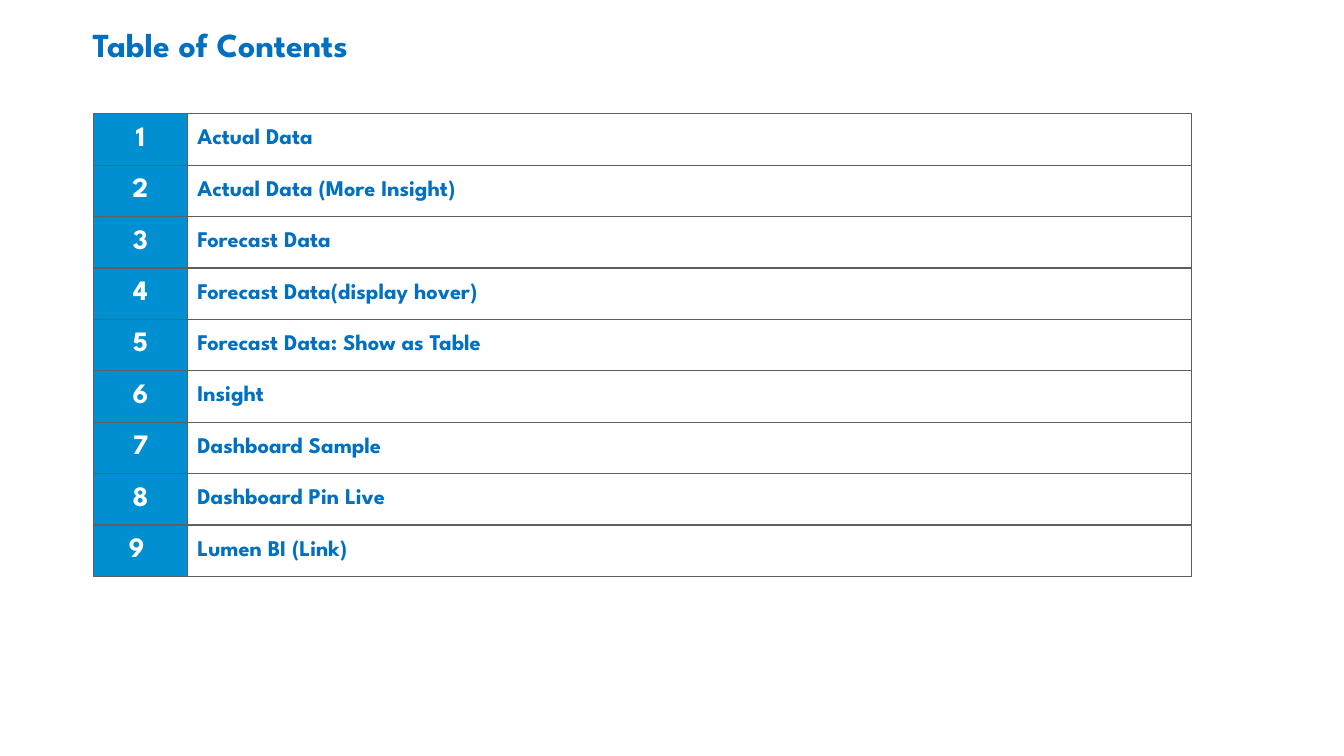
from dataclasses import dataclass

from lxml.etree import SubElement
from pptx import Presentation
from pptx.dml.color import RGBColor
from pptx.enum.text import MSO_ANCHOR, PP_ALIGN
from pptx.oxml.ns import qn
from pptx.util import Cm, Pt


@dataclass(frozen=True)
class Theme:
    font: str = "League Spartan"
    ink: str = "0070C0"
    band: str = "008FD1"
    light: str = "FFFFFF"
    rule: str = "5F5F5F"
    head: int = 24
    number: int = 20
    topic: int = 16


THEME = Theme()
TOPICS = [
    ("1", "Actual Data"),
    ("2", "Actual Data (More Insight)"),
    ("3", "Forecast Data"),
    ("4", "Forecast Data(display hover)"),
    ("5", "Forecast Data: Show as Table"),
    ("6", "Insight"),
    ("7", "Dashboard Sample"),
    ("8", "Dashboard Pin Live"),
    ("9 ", "Lumen BI (Link)"),
]


def style(para, size, color, align):
    para.alignment = align
    for run in para.runs:
        run.font.name = THEME.font
        run.font.size = Pt(size)
        run.font.bold = True
        run.font.color.rgb = RGBColor.from_string(color)


def add_title(slide, text):
    title = slide.shapes.title
    title.left, title.top = Cm(2.08), Cm(0.58)
    title.width, title.height = Cm(18.36), Cm(1.7)
    frame = title.text_frame
    frame.text = text
    frame.vertical_anchor = MSO_ANCHOR.TOP
    para = frame.paragraphs[0]
    para.line_spacing = 0.9
    style(para, THEME.head, THEME.ink, PP_ALIGN.LEFT)


def add_rules(cell):
    props = cell._tc.get_or_add_tcPr()
    for side in ("a:lnL", "a:lnR", "a:lnT", "a:lnB"):
        line = SubElement(props, qn(side), w=str(Pt(1)))
        fill = SubElement(line, qn("a:solidFill"))
        SubElement(fill, qn("a:srgbClr"), val=THEME.rule)


def fill_cell(cell, text, size, color, align, back=None):
    add_rules(cell)
    if back:
        cell.fill.solid()
        cell.fill.fore_color.rgb = RGBColor.from_string(back)
    else:
        cell.fill.background()
    cell.vertical_anchor = MSO_ANCHOR.MIDDLE
    cell.text_frame.text = text
    para = cell.text_frame.paragraphs[0]
    style(para, size, color, align)
    space = SubElement(para._p.get_or_add_pPr(), qn("a:spcBef"))
    SubElement(space, qn("a:spcPct"), val="20000")


def add_topics(slide, topics):
    widths = Cm(2.36), Cm(25.3)
    frame = slide.shapes.add_table(
        len(topics), 2, Cm(2.36), Cm(2.87), sum(widths), Cm(11.66)
    )
    table = frame.table
    table.first_row = table.horz_banding = False
    for column, width in zip(table.columns, widths):
        column.width = width
    for row, (number, topic) in zip(table.rows, topics):
        left, right = row.cells
        fill_cell(left, number, THEME.number, THEME.light, PP_ALIGN.CENTER, THEME.band)
        fill_cell(right, topic, THEME.topic, THEME.ink, PP_ALIGN.LEFT)


def main():
    deck = Presentation()
    deck.slide_width, deck.slide_height = Cm(33.87), Cm(19.05)
    slide = deck.slides.add_slide(deck.slide_layouts[5])
    add_topics(slide, TOPICS)
    add_title(slide, "Table of Contents")
    deck.save("out.pptx")


if __name__ == "__main__":
    main()
